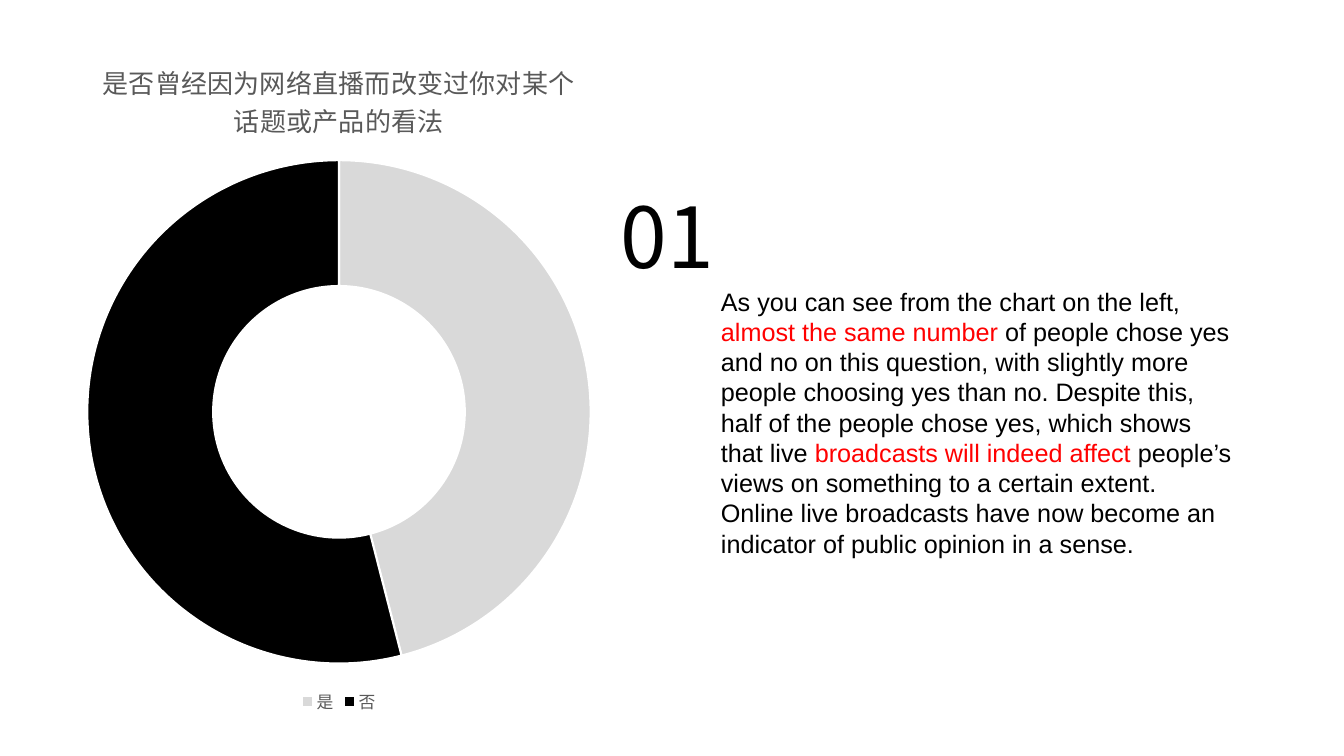
"""Build a slide with a survey doughnut chart and a numbered comment."""
import pptx
import pptx.chart.data
import pptx.dml.color
import pptx.enum.chart
import pptx.enum.text
import pptx.oxml.ns
import pptx.util

PX = 914400 / 100.8
COLORS = {"yes": "D9D9D9", "no": "000000", "text": "000000",
          "accent": "FF0000", "label": "595959", "border": "FFFFFF"}
QUESTION = "是否曾经因为网络直播而改变过你对某个话题或产品的看法"
ANSWERS = {"是": (46, "yes"), "否": (54, "no")}
COMMENT = [
    ("As you can see from the chart on the left, ", "text"),
    ("almost the same number", "accent"),
    (" of people chose yes and no on this question, with slightly more "
     "people choosing yes than no. Despite this, half of the people chose "
     "yes, which shows that live ", "text"),
    ("broadcasts will indeed affect ", "accent"),
    ("people’s views on something to a certain extent. Online live broadcasts "
     "have now become an indicator of public opinion in a sense.", "text"),
]


def px(*lengths):
    """Turn pixel lengths into EMU."""
    return [pptx.util.Emu(round(n * PX)) for n in lengths]


def rgb(name):
    """Look up a named colour."""
    return pptx.dml.color.RGBColor.from_string(COLORS[name])


def set_font(font, size, color="text", name="Arial"):
    """Format a font."""
    font.size = pptx.util.Pt(size)
    font.name = name
    font.bold = False
    font.color.rgb = rgb(color)


def add_run(p, text, *, size, color="text", name="Arial"):
    """Add formatted text to a paragraph."""
    r = p.add_run()
    r.text = text
    set_font(r.font, size, color, name)


def add_text(s, box, runs, *, size, name="Arial", margin=None):
    """Add a wrapping text box made of coloured runs."""
    tf = s.shapes.add_textbox(*px(*box)).text_frame
    tf.word_wrap = True
    tf.auto_size = pptx.enum.text.MSO_AUTO_SIZE.SHAPE_TO_FIT_TEXT
    if margin is not None:
        tf.margin_left = tf.margin_right = px(margin)[0]
        tf.margin_top = tf.margin_bottom = px(margin)[0]
    for text, color in runs:
        add_run(tf.paragraphs[0], text, size=size, color=color, name=name)


def add_doughnut(s, box, title, answers):
    """Add a titled doughnut chart with one colour per answer."""
    data = pptx.chart.data.CategoryChartData()
    data.categories = list(answers)
    data.add_series(title, [value for value, _ in answers.values()])
    kind = pptx.enum.chart.XL_CHART_TYPE.DOUGHNUT
    chart = s.shapes.add_chart(kind, *px(*box), data).chart
    set_font(chart.font, 10)

    chart.has_title = True
    p = chart.chart_title.text_frame.paragraphs[0]
    add_run(p, title, size=18.6, color="label")

    chart.has_legend = True
    chart.legend.position = pptx.enum.chart.XL_LEGEND_POSITION.BOTTOM
    chart.legend.include_in_layout = False
    set_font(chart.legend.font, 12, "label")

    plot = chart.plots[0]
    plot.vary_by_categories = True
    for i, (_, color) in enumerate(answers.values()):
        fmt = plot.series[0].points[i].format
        fmt.fill.solid()
        fmt.fill.fore_color.rgb = rgb(color)
        fmt.line.color.rgb = rgb("border")
        fmt.line.width = pptx.util.Pt(1.5)
    hole = next(chart.element.iter(pptx.oxml.ns.qn("c:holeSize")))
    hole.set("val", "75")


def main():
    """Build and save the slide."""
    prs = pptx.Presentation()
    prs.slide_width, prs.slide_height = px(1344, 756)
    s = prs.slides.add_slide(prs.slide_layouts[6])
    add_doughnut(s, (33, 36, 612, 682), QUESTION, ANSWERS)
    add_text(s, (621, 185, 100, 122), [("01", "text")], size=60,
             name="Noto Sans CJK SC", margin=0)
    add_text(s, (711, 281, 535, 285), COMMENT, size=18)
    prs.save("out.pptx")


if __name__ == "__main__":
    main()
